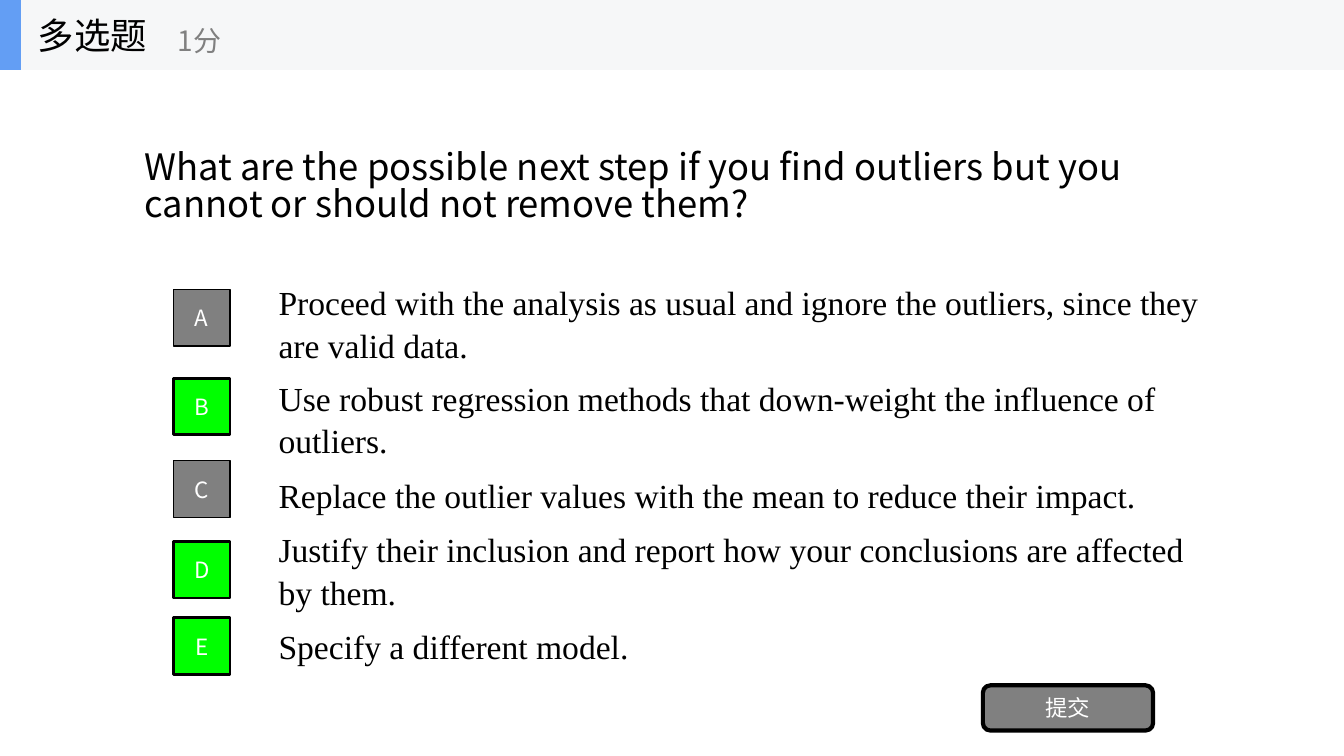
"""Build a multiple-choice question slide."""
import pptx
import pptx.dml.color
import pptx.enum.shapes
import pptx.enum.text
import pptx.oxml
import pptx.oxml.ns
import pptx.util

Cm = pptx.util.Cm
Pt = pptx.util.Pt
Shapes = pptx.enum.shapes.MSO_SHAPE
Align = pptx.enum.text.PP_ALIGN

SANS = "Noto Sans CJK SC"
SERIF = "Times New Roman"
BLACK, GREY, WHITE, GREEN = "000000", "808080", "FFFFFF", "00FF00"

OPTIONS = [
    ("A", "Proceed with the analysis as usual and ignore the outliers, since they are valid data.", False, 7.29, 7.24),
    ("B", "Use robust regression methods that down-weight the influence of outliers.", True, 9.53, 9.65),
    ("C", "Replace the outlier values with the mean to reduce their impact.", False, 11.61, 11.56),
    ("D", "Justify their inclusion and report how your conclusions are affected by them.", True, 13.64, 13.46),
    ("E", "Specify a different model.", True, 15.57, 15.37),
]


def color(hex_string):
    """Turn a hex string into a colour."""
    return pptx.dml.color.RGBColor.from_string(hex_string)


def write(shape, text, size=16, font=SANS, fill=WHITE, align=Align.LEFT, spacing=None):
    """Put formatted text into a shape."""
    frame = shape.text_frame
    frame.word_wrap = True
    frame.auto_size = pptx.enum.text.MSO_AUTO_SIZE.NONE
    frame.vertical_anchor = pptx.enum.text.MSO_ANCHOR.MIDDLE
    paragraph = frame.paragraphs[0]
    paragraph.alignment = align
    if spacing:
        paragraph.line_spacing = spacing
    run = paragraph.add_run()
    run.text = text
    run.font.size = Pt(size)
    run.font.name = font
    run.font.color.rgb = color(fill)
    east_asian = pptx.oxml.parse_xml(
        f'<a:ea {pptx.oxml.ns.nsdecls("a")} typeface="{font}"/>')
    run.font._element.find(pptx.oxml.ns.qn("a:latin")).addnext(east_asian)


class QuestionSlide:
    """Hold the current slide and draw its elements."""

    def __init__(self, presentation):
        """Add a title-only slide."""
        self.slide = presentation.slides.add_slide(presentation.slide_layouts[5])

    def box(self, left, top, width, height, fill, line=None, line_width=1,
            kind=Shapes.RECTANGLE, parent=None):
        """Draw a filled shape."""
        shape = (parent or self.slide).shapes.add_shape(
            kind, Cm(left), Cm(top), Cm(width), Cm(height))
        shape.shadow.inherit = False
        shape.fill.solid()
        shape.fill.fore_color.rgb = color(fill)
        if line:
            shape.line.color.rgb = color(line)
            shape.line.width = Pt(line_width)
        else:
            shape.line.fill.background()
        return shape

    def label(self, left, top, width, height, text, parent=None, **style):
        """Draw a text box."""
        shape = (parent or self.slide).shapes.add_textbox(
            Cm(left), Cm(top), Cm(width), Cm(height))
        write(shape, text, **style)

    def header(self, kind, points):
        """Draw the top bar as one group."""
        group = self.slide.shapes.add_group_shape()
        self.box(0, 0, 33.87, 1.76, "F6F7F8", parent=group)
        self.box(0, 0, 0.53, 1.76, "639EF4", parent=group)
        self.label(0.7, 0, 5.29, 1.76, kind, parent=group, size=26, fill=BLACK)
        self.label(4.23, 0.31, 6.35, 1.43, points, parent=group, size=20, fill=GREY)

    def question(self, text):
        """Place the question in the title placeholder."""
        title = self.slide.shapes.title
        title.left, title.top, title.width, title.height = map(Cm, (3.39, 1.76, 27.09, 5.94))
        write(title, text, size=26, fill=BLACK, spacing=0.84)

    def option(self, letter, text, correct, marker_top, text_top):
        """Draw an answer and its lettered marker."""
        self.label(6.77, text_top, 23.71, 1.78, text, size=24, font=SERIF,
                   fill=BLACK, spacing=1.05)
        marker = self.box(4.37, marker_top, 1.43, 1.43, GREEN if correct else GREY,
                          line=BLACK, line_width=2 if correct else 1)
        write(marker, letter, align=Align.CENTER)

    def button(self, text):
        """Draw the submit button."""
        shape = self.box(24.77, 17.27, 4.29, 1.14, GREY, line=BLACK, line_width=3,
                         kind=Shapes.ROUNDED_RECTANGLE)
        write(shape, text, align=Align.CENTER)


def main():
    """Create and save the presentation."""
    presentation = pptx.Presentation()
    presentation.slide_width = Cm(33.87)
    presentation.slide_height = Cm(19.05)
    page = QuestionSlide(presentation)
    page.header("多选题", "1分")
    page.question("What are the possible next step if you find outliers "
                  "but you cannot or should not remove them?")
    for option in OPTIONS:
        page.option(*option)
    page.button("提交")
    presentation.save("out.pptx")


if __name__ == "__main__":
    main()
